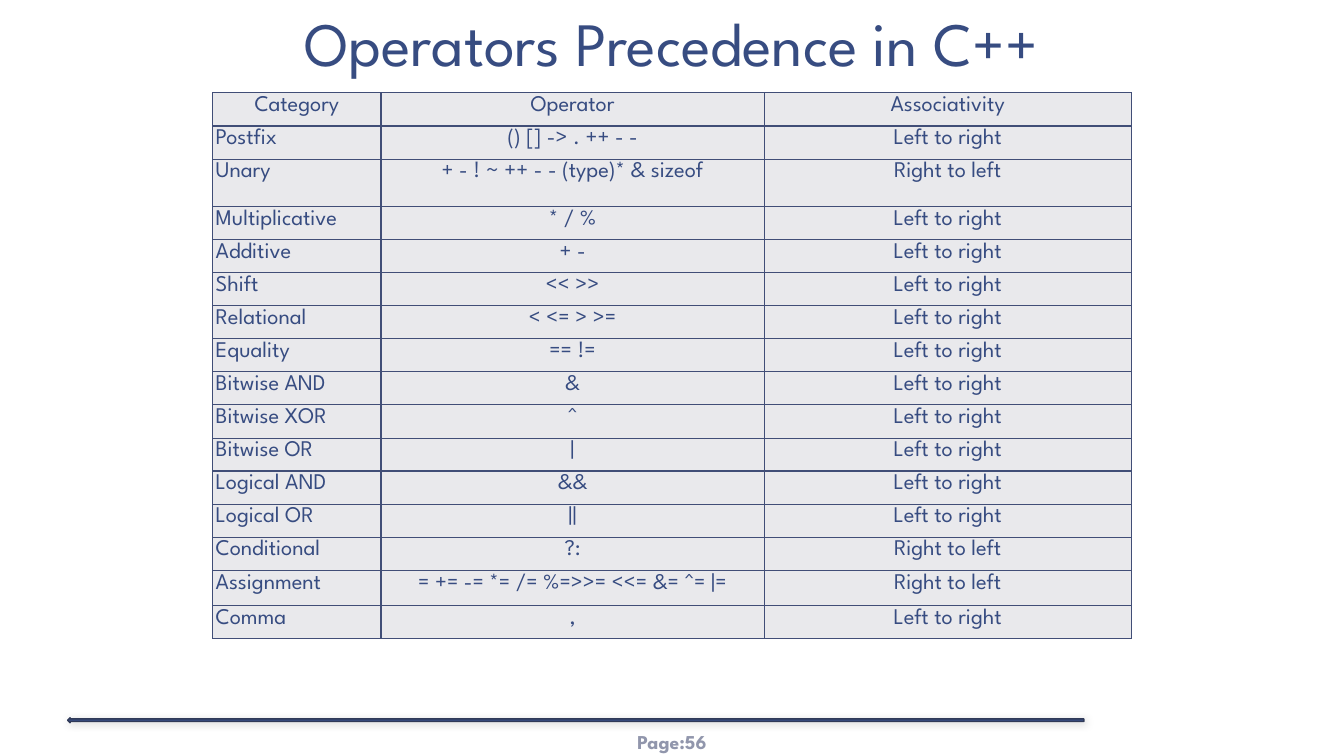
"""Build a slide with the table of operator precedence in C++."""
from lxml import etree
from pptx import Presentation
from pptx import util as u
from pptx.dml.color import RGBColor
from pptx.enum import shapes, text
from pptx.oxml import ns

COLORS = {"ink": "374C81", "border": "414E77", "cell": "E9E9EC",
          "arrow_line": "303A58", "page": "9196AC", "shadow": "000000"}
FONT = "League Spartan"
LEFT, CENTER = text.PP_ALIGN.LEFT, text.PP_ALIGN.CENTER
LTR, RTL = "Left to right", "Right to left"
COLUMN_WIDTHS = (1.67, 3.8, 3.64)
PRECEDENCE = [
    (0.33, "Category", "Operator", "Associativity"),
    (0.33, "Postfix", "() [] -> . ++ - -", LTR),
    (0.47, "Unary", "+ - ! ~ ++ - - (type)* & sizeof", RTL),
    (0.33, "Multiplicative", "* / %", LTR),
    (0.19, "Additive", "+ -", LTR),
    (0.19, "Shift", "<< >>", LTR),
    (0.19, "Relational", "< <= > >=", LTR),
    (0.19, "Equality", "== !=", LTR),
    (0.33, "Bitwise AND", "&", LTR),
    (0.33, "Bitwise XOR", "^", LTR),
    (0.19, "Bitwise OR", "|", LTR),
    (0.33, "Logical AND", "&&", LTR),
    (0.19, "Logical OR", "||", LTR),
    (0.33, "Conditional", "?:", RTL),
    (0.35, "Assignment", "= += -= *= /= %=>>= <<= &= ^= |=", RTL),
    (0.19, "Comma", ",", LTR),
]


def color(name):
    return RGBColor.from_string(COLORS[name])


def box(*lengths):
    return [u.Inches(length) for length in lengths]


def set_all(target, values):
    for name, value in values.items():
        setattr(target, name, value)


def add_xml(parent, tag, **attributes):
    return etree.SubElement(parent, ns.qn(tag), attributes)


def write(frame, words, size, ink="ink", align=CENTER, bold=False):
    paragraph = frame.paragraphs[0]
    paragraph.text = words
    paragraph.alignment = align
    set_all(paragraph.font, {"name": FONT, "size": u.Pt(size), "bold": bold})
    paragraph.font.color.rgb = color(ink)
    return paragraph


def set_margins(target, side, end):
    set_all(target, {"margin_left": u.Inches(side), "margin_right": u.Inches(side),
                     "margin_top": u.Inches(end), "margin_bottom": u.Inches(end)})


def add_title(slide, words):
    title = slide.shapes.title
    set_all(title, dict(zip(("left", "top", "width", "height"), box(0, 0, 13.33, 0.86))))
    set_all(title.text_frame, {"vertical_anchor": text.MSO_ANCHOR.BOTTOM,
                               "word_wrap": True, "auto_size": text.MSO_AUTO_SIZE.NONE})
    set_margins(title.text_frame, 0.13, 0.07)
    write(title.text_frame, words, 44).line_spacing = 0.85


def format_cell(cell, words, align):
    properties = cell._tc.get_or_add_tcPr()
    for side in ("a:lnL", "a:lnR", "a:lnT", "a:lnB"):
        line = add_xml(properties, side, w=str(u.Pt(1)))
        add_xml(add_xml(line, "a:solidFill"), "a:srgbClr", val=COLORS["border"])
    cell.fill.solid()
    cell.fill.fore_color.rgb = color("cell")
    set_margins(cell, 0.03, 0.03)
    write(cell.text_frame, words, 16, align=align)


def add_precedence_table(slide):
    height = sum(row[0] for row in PRECEDENCE)
    table = slide.shapes.add_table(len(PRECEDENCE), len(COLUMN_WIDTHS),
                                   *box(2.11, 0.92, sum(COLUMN_WIDTHS), height)).table
    table.horz_banding = False
    for column, width in zip(table.columns, COLUMN_WIDTHS):
        column.width = u.Inches(width)
    for row_index, (row_height, *entries) in enumerate(PRECEDENCE):
        table.rows[row_index].height = u.Inches(row_height)
        for column_index, words in enumerate(entries):
            align = LEFT if row_index and not column_index else CENTER
            format_cell(table.cell(row_index, column_index), words, align)


def add_footer_arrow(slide):
    arrow = slide.shapes.add_shape(shapes.MSO_SHAPE.LEFT_ARROW, *box(0.67, 7.12, 10.08, 0.05))
    arrow.fill.solid()
    arrow.fill.fore_color.rgb = color("ink")
    arrow.line.color.rgb = color("arrow_line")
    arrow.line.width = u.Pt(1)
    arrow.shadow.inherit = False
    effects = arrow._element.spPr.find(ns.qn("a:effectLst"))
    shadow = add_xml(effects, "a:outerShdw", blurRad=str(u.Pt(6)), dist=str(u.Pt(1)),
                     dir=str(45 * 60000), rotWithShape="0")
    add_xml(add_xml(shadow, "a:srgbClr", val=COLORS["shadow"]), "a:alpha", val="20000")


def add_page_label(slide, words):
    frame = slide.shapes.add_textbox(*box(5.78, 7.16, 1.77, 0.4)).text_frame
    set_all(frame, {"word_wrap": True, "vertical_anchor": text.MSO_ANCHOR.MIDDLE})
    set_margins(frame, 0.04, 0.02)
    write(frame, words, 14, "page", bold=True)


def main():
    deck = Presentation()
    set_all(deck, {"slide_width": u.Inches(13.33), "slide_height": u.Inches(7.5)})
    slide = deck.slides.add_slide(deck.slide_layouts[5])
    add_page_label(slide, "Page:56")
    add_footer_arrow(slide)
    add_title(slide, "Operators Precedence in C++")
    add_precedence_table(slide)
    deck.save("out.pptx")


if __name__ == "__main__":
    main()
